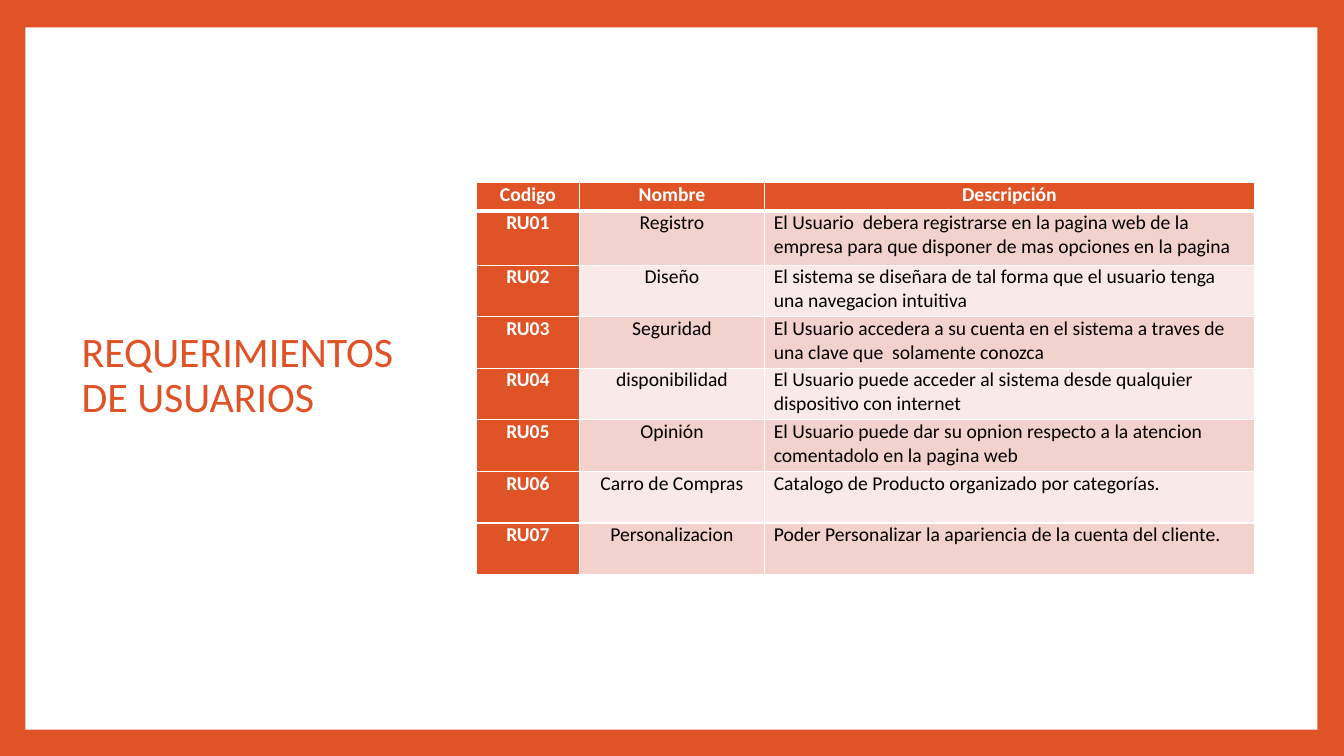
from dataclasses import dataclass

from lxml.etree import SubElement
from pptx import Presentation
from pptx.dml.color import RGBColor
from pptx.enum.shapes import MSO_SHAPE
from pptx.enum.text import MSO_ANCHOR, MSO_AUTO_SIZE, PP_ALIGN
from pptx.oxml.ns import qn
from pptx.util import Cm, Pt


@dataclass(frozen=True)
class Theme:
    font: str = "Calibri"
    accent: str = "DF5327"
    white: str = "FFFFFF"
    ink: str = "000000"
    bands: tuple = ("F3D1CD", "F9E9E8")
    title: int = 30
    cell: int = 14
    thin: int = 1
    thick: int = 3


THEME = Theme()
HEADS = ("Codigo", "Nombre", "Descripción")
NEEDS = (
    ("Registro", "El Usuario  debera registrarse en la pagina web de la empresa "
                 "para que disponer de mas opciones en la pagina"),
    ("Diseño", "El sistema se diseñara de tal forma que el usuario tenga "
               "una navegacion intuitiva"),
    ("Seguridad", "El Usuario accedera a su cuenta en el sistema a traves de "
                  "una clave que  solamente conozca"),
    ("disponibilidad", "El Usuario puede acceder al sistema desde qualquier "
                       "dispositivo con internet"),
    ("Opinión", "El Usuario puede dar su opnion respecto a la atencion "
                "comentadolo en la pagina web"),
    ("Carro de Compras", "Catalogo de Producto organizado por categorías."),
    ("Personalizacion", "Poder Personalizar la apariencia de la cuenta del cliente."),
)
WIDTHS = (2.59, 4.67, 12.34)
HEIGHTS = (0.71, 1.37) + (1.3,) * (len(NEEDS) - 1)


def apply(target, values):
    for name, value in values.items():
        setattr(target, name, value)


def paint(fill, color):
    fill.solid()
    fill.fore_color.rgb = RGBColor.from_string(color)


def write(frame, text, size, color, bold=False, **format):
    """Fill a text frame with one paragraph; format holds paragraph values."""
    frame.text = text
    line = frame.paragraphs[0]
    apply(line, format)
    font = line.runs[0].font
    apply(font, {"name": THEME.font, "size": Pt(size), "bold": bold})
    font.color.rgb = RGBColor.from_string(color)


def place(shape, left, top, width, height):
    apply(shape, {"left": Cm(left), "top": Cm(top),
                  "width": Cm(width), "height": Cm(height)})


def add_title(slide, text):
    title = slide.shapes.title
    place(title, 1.8, 1.7, 9.35, 15.57)
    apply(title.text_frame, {"word_wrap": True, "auto_size": MSO_AUTO_SIZE.NONE,
                             "vertical_anchor": MSO_ANCHOR.MIDDLE})
    write(title.text_frame, text, THEME.title, THEME.accent,
          alignment=PP_ALIGN.LEFT, line_spacing=0.9)


def add_panel(slide):
    """Put the white panel behind the title, leaving an accent frame."""
    panel = slide.shapes.add_shape(
        MSO_SHAPE.RECTANGLE, Cm(0.64), Cm(0.69), Cm(32.56), Cm(17.7))
    panel.shadow.inherit = False
    paint(panel.fill, THEME.white)
    panel.line.fill.background()
    slide.shapes.title.element.addprevious(panel.element)


def edge(cell, row):
    """Draw white borders, with a thick rule below the header row."""
    props = cell._tc.get_or_add_tcPr()
    heavy = {(0, "B"), (1, "T")}
    for side in "LRTB":
        width = THEME.thick if (row, side) in heavy else THEME.thin
        line = SubElement(props, qn(f"a:ln{side}"), w=str(Pt(width)))
        fill = SubElement(line, qn("a:solidFill"))
        SubElement(fill, qn("a:srgbClr"), val=THEME.white)


def style(cell, text, row, col):
    head = row == 0 or col == 0
    edge(cell, row)
    paint(cell.fill, THEME.accent if head else THEME.bands[(row - 1) % 2])
    apply(cell, {"margin_left": Cm(0.23), "margin_right": Cm(0.23),
                 "margin_top": 0, "margin_bottom": 0,
                 "vertical_anchor": MSO_ANCHOR.TOP})
    left = row > 0 and col == 2
    write(cell.text_frame, text, THEME.cell, THEME.white if head else THEME.ink,
          head, alignment=PP_ALIGN.LEFT if left else PP_ALIGN.CENTER)


def add_grid(slide):
    data = [HEADS] + [(f"RU{i:02}", *need) for i, need in enumerate(NEEDS, 1)]
    grid = slide.shapes.add_table(
        len(data), len(HEADS), Cm(12.01), Cm(4.6),
        Cm(sum(WIDTHS)), Cm(sum(HEIGHTS))).table
    for col, width in zip(grid.columns, WIDTHS):
        col.width = Cm(width)
    for row, height in zip(grid.rows, HEIGHTS):
        row.height = Cm(height)
    for r, texts in enumerate(data):
        for c, text in enumerate(texts):
            style(grid.cell(r, c), text, r, c)


def main():
    deck = Presentation()
    apply(deck, {"slide_width": Cm(33.87), "slide_height": Cm(19.05)})
    slide = deck.slides.add_slide(deck.slide_layouts.get_by_name("Title Only"))
    paint(slide.background.fill, THEME.accent)
    add_panel(slide)
    add_title(slide, "REQUERIMIENTOS DE USUARIOS")
    add_grid(slide)
    deck.save("out.pptx")


if __name__ == "__main__":
    main()
